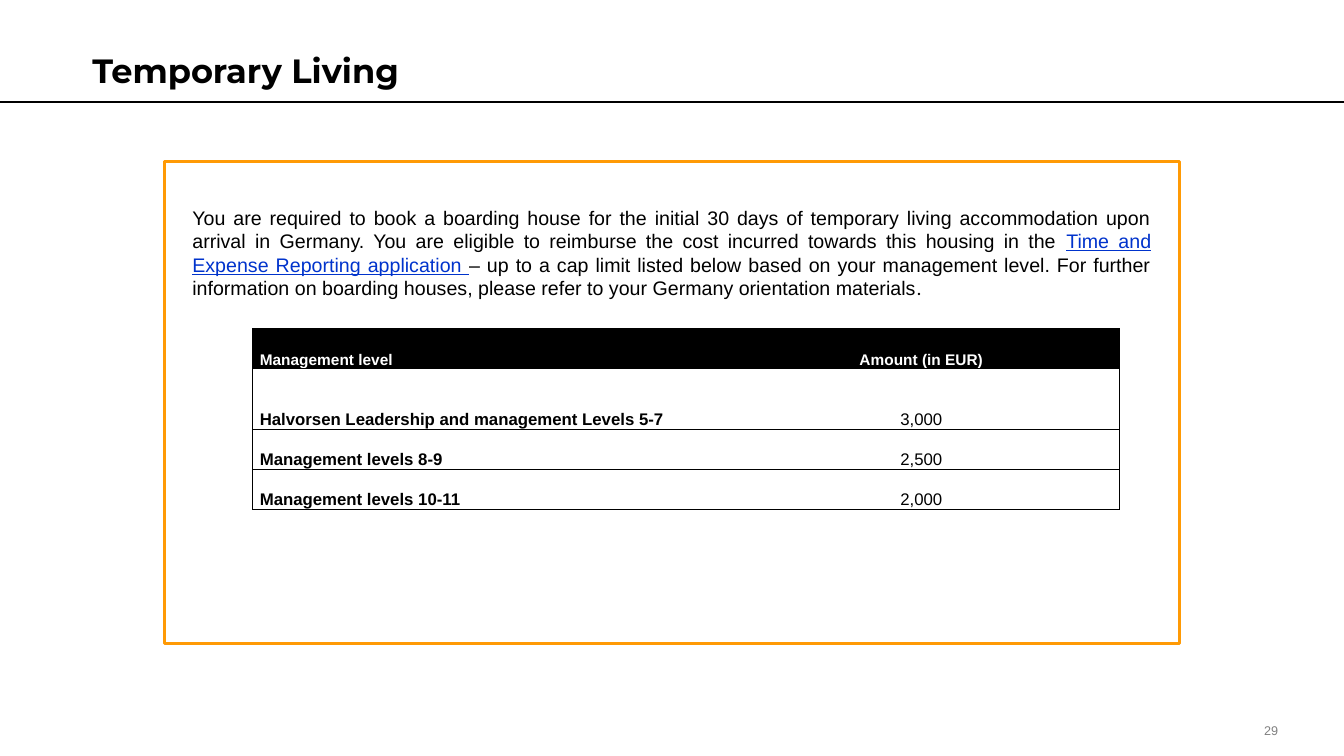
"""Build the Temporary Living slide with its table of housing caps."""
from lxml import etree
from pptx import Presentation
from pptx.dml.color import RGBColor
from pptx.enum import shapes, text
from pptx.oxml import ns
from pptx.util import Pt

COLORS = {"black": "000000", "white": "FFFFFF", "orange": "FF9A05", "link": "0033CC", "gray": "808080"}


def color(name):
    return RGBColor.from_string(COLORS[name])


def style(font, size, name="black", face="Arial", bold=False):
    font.size, font.name, font.bold = Pt(size), face, bold
    font.color.rgb = color(name)


deck = Presentation()
deck.slide_width, deck.slide_height = Pt(960), Pt(540)
page = deck.slides.add_slide(deck.slide_layouts[6])

number = page.shapes.add_textbox(Pt(830.9), Pt(513.4), Pt(82), Pt(13.7)).text_frame
number.margin_left = number.margin_right = number.margin_top = number.margin_bottom = 0
number.vertical_anchor = text.MSO_ANCHOR.BOTTOM
number.word_wrap = True
para = number.paragraphs[0]
para.text = "29"
para.alignment = text.PP_ALIGN.RIGHT
style(para.font, 9, "gray")

title = page.shapes.add_textbox(Pt(59), Pt(32.4), Pt(244.8), Pt(36)).text_frame
title.word_wrap = False
title.auto_size = text.MSO_AUTO_SIZE.SHAPE_TO_FIT_TEXT
para = title.paragraphs[0]
para.text = "Temporary Living"
style(para.font, 24, face="Montserrat", bold=True)

frame = page.shapes.add_shape(shapes.MSO_SHAPE.RECTANGLE, Pt(117.4), Pt(115.2), Pt(725), Pt(344.2))
frame.shadow.inherit = False
frame.fill.solid()
frame.fill.fore_color.rgb = color("white")
frame.line.color.rgb = color("orange")
frame.line.width = Pt(2)

rule = page.shapes.add_connector(shapes.MSO_CONNECTOR.STRAIGHT, Pt(0), Pt(72.7), Pt(960), Pt(72.7))
rule.line.color.rgb = color("black")
rule.line.width = Pt(1.5)
etree.SubElement(rule.element.spPr, ns.qn("a:effectLst"))

intro = page.shapes.add_textbox(Pt(130.3), Pt(143.3), Pt(699.1), Pt(74.9)).text_frame
intro.word_wrap = True
intro.auto_size = text.MSO_AUTO_SIZE.SHAPE_TO_FIT_TEXT
para = intro.paragraphs[0]
para.alignment = text.PP_ALIGN.JUSTIFY
for words, name, face in [
    ("You are required to book a boarding house for the initial 30 days of temporary living "
     "accommodation upon arrival in Germany. You are eligible to reimburse the cost incurred "
     "towards this housing in the ", "black", "Arial"),
    ("Time and Expense Reporting application ", "link", "Arial"),
    ("– up to a cap limit listed below based on your management level. For further information "
     "on boarding houses, please refer to your Germany orientation materials", "black", "Arial"),
    (".", "black", "Calibri"),
]:
    span = para.add_run()
    span.text = words
    style(span.font, 14, name, face)
    span.font.underline = name == "link"

ROWS = [
    ("Management level", "Amount (in EUR)", 28.6),
    ("Halvorsen Leadership and management Levels 5-7", "3,000", 43.2),
    ("Management levels 8-9", "2,500", 28.6),
    ("Management levels 10-11", "2,000", 28.6),
]
table = page.shapes.add_table(len(ROWS), 2, Pt(180.4), Pt(234.7), Pt(619.2), Pt(129)).table
table.columns[0].width, table.columns[1].width = Pt(336.2), Pt(283)
for row, (level, amount, height) in enumerate(ROWS):
    table.rows[row].height = Pt(height)
    for column, words in enumerate((level, amount)):
        header = row == 0
        cell = table.cell(row, column)
        cell.margin_left = cell.margin_right = Pt(5.2)
        cell.margin_top = cell.margin_bottom = 0
        cell.vertical_anchor = text.MSO_ANCHOR.BOTTOM
        para = cell.text_frame.paragraphs[0]
        para.text = words
        para.alignment = text.PP_ALIGN.CENTER if column else text.PP_ALIGN.JUSTIFY
        style(para.font, 11 if header else 12, "white" if header else "black", bold=header or column == 0)
        properties = cell._tc.get_or_add_tcPr()
        inner = "R" if column == 0 else "L"
        for side in "LRTB":
            border = etree.SubElement(properties, ns.qn(f"a:ln{side}"), w=str(Pt(0.75)))
            if side == inner:
                etree.SubElement(border, ns.qn("a:noFill"))
            else:
                fill = etree.SubElement(border, ns.qn("a:solidFill"))
                etree.SubElement(fill, ns.qn("a:srgbClr"), val=COLORS["black"])
        if header:
            cell.fill.solid()
            cell.fill.fore_color.rgb = color("black")
        else:
            cell.fill.background()

deck.save("out.pptx")
